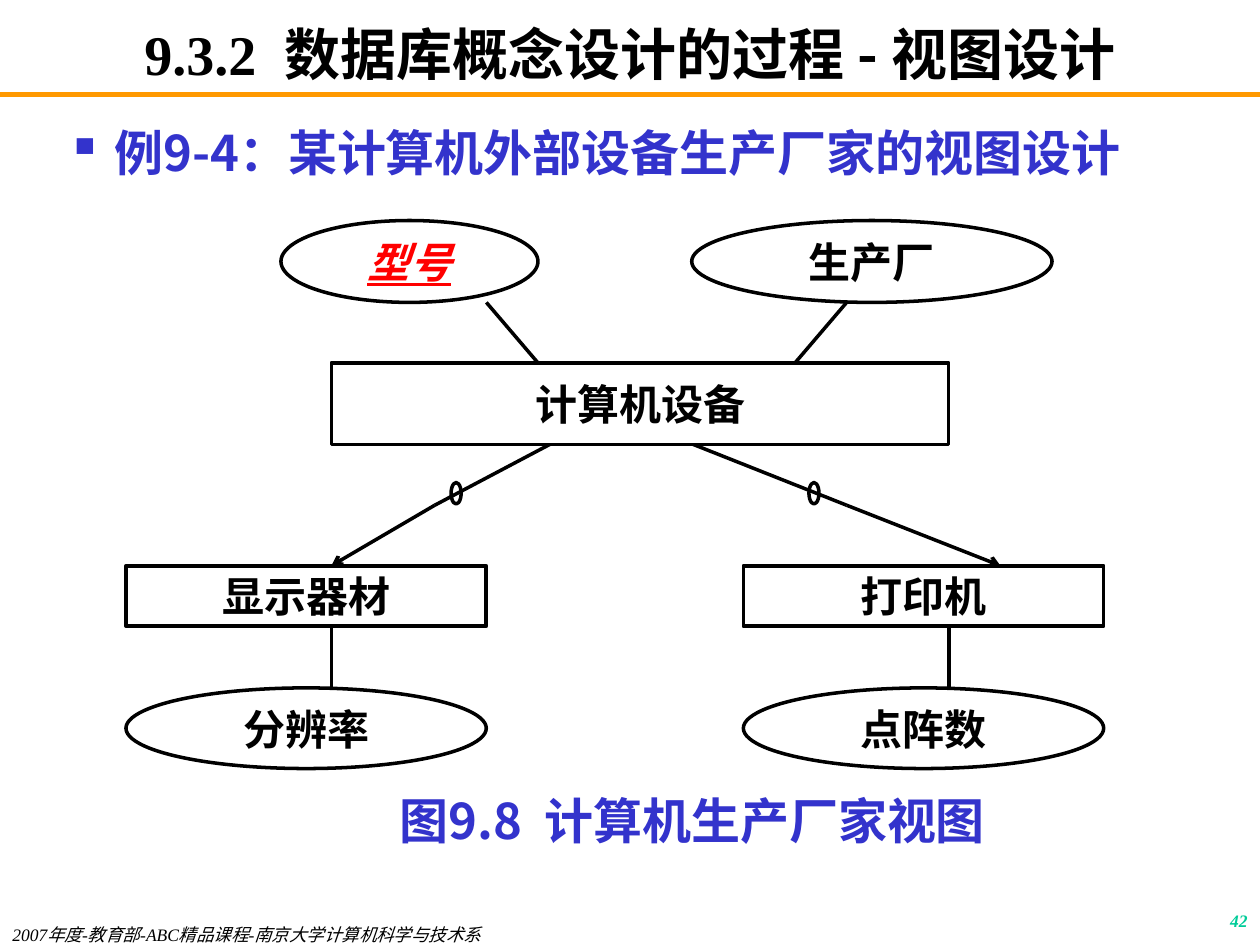
from pptx import Presentation
from pptx.util import Inches, Pt
from pptx.dml.color import RGBColor
from pptx.enum.shapes import MSO_SHAPE, MSO_CONNECTOR
from pptx.enum.text import PP_ALIGN, MSO_ANCHOR
from pptx.oxml.ns import qn
from lxml.etree import SubElement

SERIF = "Times New Roman"
SANS = "Noto Sans CJK SC"
BLACK, WHITE, BLUE = "000000", "FFFFFF", "3333CC"


def color(code):
    return RGBColor.from_string(code)


def write(shape, runs, size=24, hue=BLACK, bold=True, italic=False, line=False,
          align=PP_ALIGN.CENTER, anchor=MSO_ANCHOR.MIDDLE, pad=0.01, bullet=None):
    frame = shape.text_frame
    frame.word_wrap = True
    frame.vertical_anchor = anchor
    frame.margin_left = frame.margin_right = Inches(0.1)
    frame.margin_top = frame.margin_bottom = Inches(pad)
    para = frame.paragraphs[0]
    para.alignment = align
    if bullet:
        props = para._p.get_or_add_pPr()
        props.set("marL", str(Inches(0.38)))
        props.set("indent", str(-Inches(0.38)))
        tint = SubElement(props, qn("a:buClr"))
        SubElement(tint, qn("a:srgbClr"), val=hue)
        SubElement(props, qn("a:buChar"), char=bullet)
    for text, face in runs:
        run = para.add_run()
        run.text = text
        font = run.font
        font.name, font.size = face, Pt(size)
        font.bold, font.italic, font.underline = bold, italic, line
        font.color.rgb = color(hue)
        SubElement(run._r.get_or_add_rPr(), qn("a:ea"), typeface=SANS)


def label(slide, box, runs, **style):
    shape = slide.shapes.add_textbox(*map(Inches, box))
    write(shape, runs, **style)


def node(slide, kind, box, text=None, **style):
    shape = slide.shapes.add_shape(kind, *map(Inches, box))
    shape.shadow.inherit = False
    shape.line.color.rgb = color(BLACK)
    shape.line.width = Pt(2)
    if text:
        shape.fill.solid()
        shape.fill.fore_color.rgb = color(WHITE)
        write(shape, [(text, SERIF)], **style)
    else:
        shape.fill.background()


def link(slide, start, end, hue=BLACK, width=2, arrow=False):
    wire = slide.shapes.add_connector(
        MSO_CONNECTOR.STRAIGHT, *map(Inches, start + end))
    wire.line.color.rgb = color(hue)
    wire.line.width = Pt(width)
    if arrow:
        SubElement(wire.line._get_or_add_ln(), qn("a:tailEnd"), type="arrow")
    SubElement(wire._element.spPr, qn("a:effectLst"))


def frame(slide):
    link(slide, (0, 0.75), (10, 0.75), hue="FF9900", width=3)
    label(slide, (7.92, 7.17, 2.08, 0.33), [("42", SERIF)], size=10, hue="00CC99",
          italic=True, align=PP_ALIGN.RIGHT, anchor=MSO_ANCHOR.TOP, pad=0.05)
    label(slide, (0, 7.33, 5.5, 0.17),
          [("2007年度-教育部-ABC精品课程-南京大学计算机科学与技术系", SERIF)],
          size=10, bold=False, italic=True, align=PP_ALIGN.LEFT,
          anchor=MSO_ANCHOR.TOP, pad=0)
    label(slide, (0.75, 0.17, 8.5, 0.5),
          [("9.3.2  ", SERIF), ("数据库概念设计的过程 - 视图设计", SANS)],
          size=32, pad=0)
    label(slide, (0.43, 0.92, 9.25, 0.83),
          [("例9-4：某计算机外部设备生产厂家的视图设计", SANS)], size=28, hue=BLUE,
          align=PP_ALIGN.LEFT, anchor=MSO_ANCHOR.TOP, pad=0.05, bullet="▪")


def chart(slide):
    oval, rect = MSO_SHAPE.OVAL, MSO_SHAPE.RECTANGLE
    link(slide, (3.86, 2.4), (4.27, 2.88))
    link(slide, (6.72, 2.4), (6.31, 2.88))
    node(slide, oval, (2.23, 1.75, 2.04, 0.65), "型号",
         hue="FF0000", italic=True, line=True)
    node(slide, oval, (5.49, 1.75, 2.86, 0.65), "生产厂")

    parts = [
        (1, "显示器材", "分辨率", 4.68, 3.45, 2.63, 2.63, 3.58),
        (5.9, "打印机", "点阵数", 5.08, 6.72, 7.94, 7.53, 6.42),
    ]
    for left, name, trait, top, bend, tip, stem, ring in parts:
        link(slide, (bend, 4.01), (top, 3.36))
        link(slide, (bend, 4.01), (tip, 4.49), arrow=True)
        link(slide, (stem, 4.98), (stem, 5.46))
        node(slide, rect, (left, 4.49, 2.86, 0.48), name)
        node(slide, oval, (left, 5.46, 2.86, 0.64), trait)
        node(slide, oval, (ring, 3.83, 0.08, 0.17))

    node(slide, rect, (2.63, 2.88, 4.9, 0.65), "计算机设备")
    label(slide, (1.82, 6.27, 7.35, 0.48),
          [("图9.8  计算机生产厂家视图", SANS)], size=28, hue=BLUE)


def main():
    deck = Presentation()
    deck.slide_width, deck.slide_height = Inches(10), Inches(7.5)
    slide = deck.slides.add_slide(deck.slide_layouts[6])
    frame(slide)
    chart(slide)
    deck.save("out.pptx")


if __name__ == "__main__":
    main()
